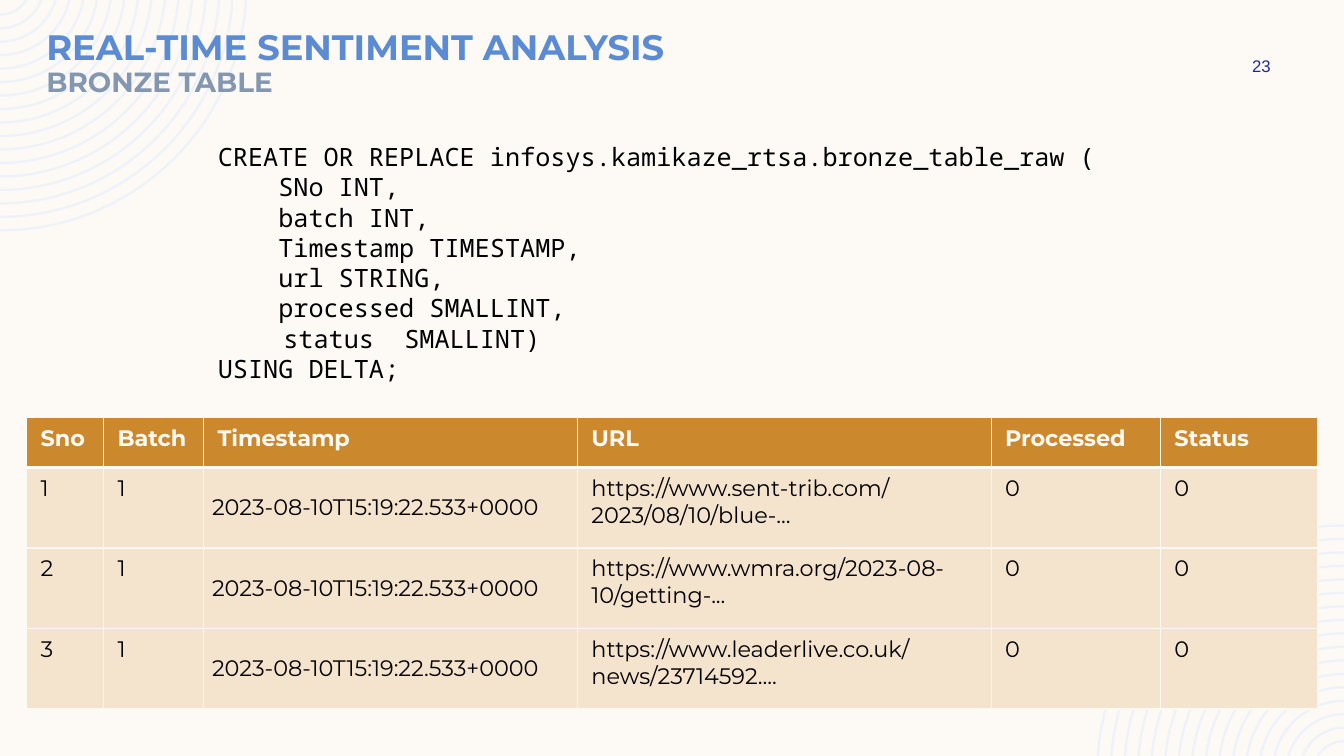
from dataclasses import dataclass
from math import asin, cos, pi, sin, tan

from lxml.etree import SubElement
from pptx import Presentation
from pptx.dml.color import RGBColor
from pptx.enum.text import MSO_ANCHOR, MSO_AUTO_SIZE, PP_ALIGN
from pptx.oxml.ns import qn
from pptx.shapes.autoshape import Shape
from pptx.slide import Slide
from pptx.table import _Cell
from pptx.text.text import Font
from pptx.util import Pt


@dataclass(frozen=True)
class TextStyle:
    face: str
    size: float
    color: str
    bold: bool = False


@dataclass(frozen=True)
class Theme:
    paper: str = "FDFAF6"
    rings: str = "EEF3FA"
    header_fill: str = "CC882D"
    body_fill: str = "F4E3CD"
    title: TextStyle = TextStyle("Montserrat", 25.2, "5B8BD3", True)
    subtitle: TextStyle = TextStyle("Montserrat", 19.8, "8497B0", True)
    page_number: TextStyle = TextStyle("Arial", 12, "1F2C8F")
    code: TextStyle = TextStyle("Noto Sans Mono", 18, "000000")
    header: TextStyle = TextStyle("Montserrat", 16, "FDFAF6", True)
    body: TextStyle = TextStyle("Montserrat", 16, "000000")


@dataclass(frozen=True)
class Area:
    left: float
    top: float
    width: float
    height: float


@dataclass(frozen=True)
class Column:
    heading: str
    width: float
    values: tuple[str, ...]
    centred: bool = False


THEME = Theme()
PAGE_WIDTH, PAGE_HEIGHT = 960, 540

RING_COUNT = 17
RING_CENTRE_Y = -11.5
RING_RADIUS = 177
RING_STEP = 9.63
RING_THICKNESS = 1.75

TAB_STOP = 36
CODE_LINES = (
    "CREATE OR REPLACE infosys.kamikaze_rtsa.bronze_table_raw (",
    "    SNo INT,",
    "    batch INT,",
    "    Timestamp TIMESTAMP,",
    "    url STRING,",
    "    processed SMALLINT,",
    "   \t status  SMALLINT)",
    "USING DELTA;",
)

TABLE_AREA = Area(19, 298.5, 922, 208)
HEADER_HEIGHT, BODY_HEIGHT = 35.5, 57.5
COLUMNS = (
    Column("Sno", 55, ("1", "2", "3")),
    Column("Batch", 71.5, ("1",) * 3),
    Column("Timestamp", 267, ("2023-08-10T15:19:22.533+0000",) * 3, True),
    Column("URL", 295.5, (
        "https://www.sent-trib.com/2023/08/10/blue-...",
        "https://www.wmra.org/2023-08-10/getting-...",
        "https://www.leaderlive.co.uk/news/23714592....",
    )),
    Column("Processed", 121, ("0",) * 3),
    Column("Status", 112, ("0",) * 3),
)


def color(value: str) -> RGBColor:
    return RGBColor.from_string(value)


def set_font(font: Font, style: TextStyle) -> None:
    font.name = style.face
    font.size = Pt(style.size)
    font.bold = style.bold
    font.color.rgb = color(style.color)


def add_text_box(page: Slide, area: Area) -> Shape:
    box = page.shapes.add_textbox(
        Pt(area.left), Pt(area.top), Pt(area.width), Pt(area.height))
    box.text_frame.word_wrap = True
    return box


def arc(radius: float) -> list[tuple[float, float]]:
    """Bezier start, two handles and end, from the page's top edge to its left edge."""
    start = asin(-RING_CENTRE_Y / radius)
    handle = radius * 4 / 3 * tan((pi / 2 - start) / 4)
    first_x = radius * cos(start)
    bottom = RING_CENTRE_Y + radius
    return [
        (first_x, 0),
        (first_x - handle * sin(start), handle * cos(start)),
        (handle, bottom),
        (0, bottom),
    ]


def bend_arcs(rings: Shape) -> None:
    """Turn the seven lines of each ring into curve, line, curve."""
    contour = rings._element.find(f".//{qn('a:path')}")
    lines = contour.findall(qn("a:lnTo"))
    for ring_start in range(0, len(lines), 7):
        for first in (ring_start, ring_start + 4):
            curve = lines[first]
            curve.tag = qn("a:cubicBezTo")
            for line in lines[first + 1:first + 3]:
                curve.append(line[0])
                contour.remove(line)


def add_corner_rings(page: Slide, opposite: bool) -> None:
    """Draw the rings top left, or turned half round at bottom right."""
    builder = None
    for ring in range(RING_COUNT):
        radius = RING_RADIUS - ring * RING_STEP
        outline = arc(radius) + arc(radius - RING_THICKNESS)[::-1]
        if opposite:
            outline = [(PAGE_WIDTH - x, PAGE_HEIGHT - y) for x, y in outline]
        points = [(Pt(x), Pt(y)) for x, y in outline]
        if builder is None:
            builder = page.shapes.build_freeform(*points[0])
        else:
            builder.move_to(*points[0])
        builder.add_line_segments(points[1:], close=True)
    rings = builder.convert_to_shape()
    bend_arcs(rings)
    rings.shadow.inherit = False
    rings.fill.solid()
    rings.fill.fore_color.rgb = color(THEME.rings)
    rings.line.fill.background()


def add_title(page: Slide) -> None:
    box = add_text_box(page, Area(26, 18, 841, 60.5))
    para = box.text_frame.paragraphs[0]
    para.line_spacing = 0.9
    title = para.add_run()
    title.text = "REAL-TIME SENTIMENT ANALYSIS"
    set_font(title.font, THEME.title)
    para.add_line_break()
    subtitle = para.add_run()
    subtitle.text = "BRONZE TABLE"
    set_font(subtitle.font, THEME.subtitle)


def add_page_number(page: Slide) -> None:
    box = add_text_box(page, Area(862, 36, 78, 21.5))
    box.text_frame.vertical_anchor = MSO_ANCHOR.MIDDLE
    para = box.text_frame.paragraphs[0]
    para.text = "23"
    para.alignment = PP_ALIGN.CENTER
    set_font(para.font, THEME.page_number)


def add_code(page: Slide) -> None:
    frame = add_text_box(page, Area(148.5, 97.5, 695, 181.5)).text_frame
    frame.auto_size = MSO_AUTO_SIZE.SHAPE_TO_FIT_TEXT
    for index, line in enumerate(CODE_LINES):
        para = frame.add_paragraph() if index else frame.paragraphs[0]
        para.text = line
        if "\t" in line:
            tabs = SubElement(para._p.get_or_add_pPr(), qn("a:tabLst"))
            SubElement(tabs, qn("a:tab"), pos=str(Pt(TAB_STOP)), algn="l")
        set_font(para.font, THEME.code)


def add_borders(cell: _Cell, widths: dict[str, float]) -> None:
    properties = cell._tc.get_or_add_tcPr()
    for side, width in widths.items():
        line = SubElement(properties, qn(f"a:ln{side}"), w=str(Pt(width)))
        fill = SubElement(line, qn("a:solidFill"))
        SubElement(fill, qn("a:srgbClr"), val=THEME.paper)


def fill_cell(cell: _Cell, text: str, row: int, centred: bool) -> None:
    is_header = row == 0
    add_borders(cell, {"L": 1, "R": 1, "T": 3 if row == 1 else 1, "B": 3 if is_header else 1})
    cell.fill.solid()
    cell.fill.fore_color.rgb = color(THEME.header_fill if is_header else THEME.body_fill)
    cell.vertical_anchor = MSO_ANCHOR.MIDDLE if centred else MSO_ANCHOR.TOP
    cell.margin_left = cell.margin_right = Pt(6 if centred else 10)
    cell.margin_top = cell.margin_bottom = Pt(6 if centred else 5)
    para = cell.text_frame.paragraphs[0]
    para.text = text
    set_font(para.font, THEME.header if is_header else THEME.body)


def add_bronze_table(page: Slide) -> None:
    area = TABLE_AREA
    row_count = 1 + len(COLUMNS[0].values)
    table = page.shapes.add_table(
        row_count, len(COLUMNS),
        Pt(area.left), Pt(area.top), Pt(area.width), Pt(area.height)).table
    for row in range(row_count):
        table.rows[row].height = Pt(BODY_HEIGHT if row else HEADER_HEIGHT)
    for index, column in enumerate(COLUMNS):
        table.columns[index].width = Pt(column.width)
        for row, text in enumerate((column.heading, *column.values)):
            fill_cell(table.cell(row, index), text, row, column.centred and row > 0)


def main() -> None:
    deck = Presentation()
    deck.slide_width, deck.slide_height = Pt(PAGE_WIDTH), Pt(PAGE_HEIGHT)
    page = deck.slides.add_slide(deck.slide_layouts[6])
    page.background.fill.solid()
    page.background.fill.fore_color.rgb = color(THEME.paper)
    for opposite in (False, True):
        add_corner_rings(page, opposite)
    add_page_number(page)
    add_code(page)
    add_title(page)
    add_bronze_table(page)
    deck.save("out.pptx")


if __name__ == "__main__":
    main()
